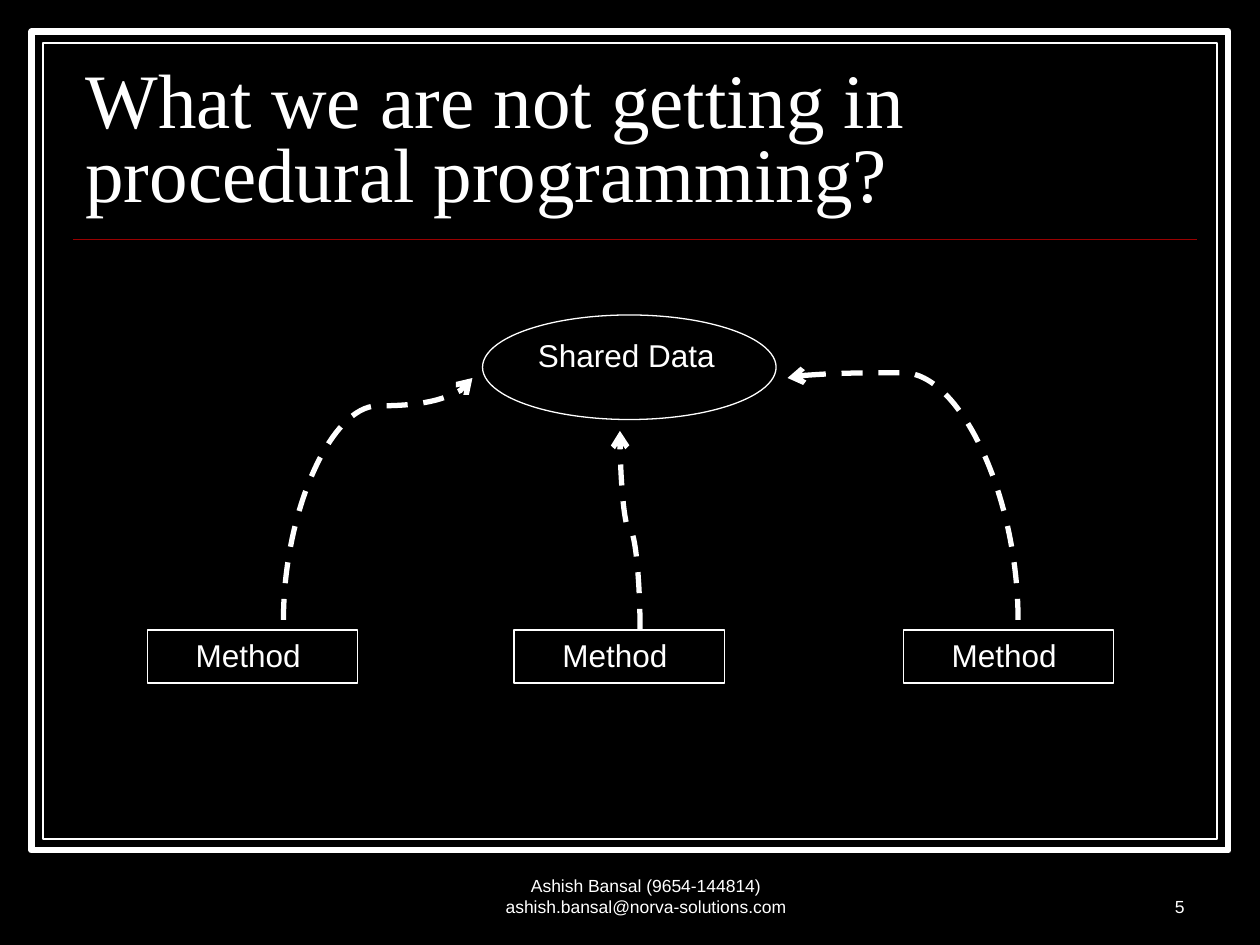
import pptx
import pptx.util
import pptx.dml.color
import pptx.enum.dml
import pptx.enum.shapes
import pptx.enum.text
import pptx.oxml
import pptx.oxml.ns
from dataclasses import dataclass

Inches = pptx.util.Inches
Pt = pptx.util.Pt
RGB = pptx.dml.color.RGBColor
MSO_SHAPE = pptx.enum.shapes.MSO_SHAPE
MSO_CONNECTOR = pptx.enum.shapes.MSO_CONNECTOR
ALIGN = pptx.enum.text.PP_ALIGN
ANCHOR = pptx.enum.text.MSO_ANCHOR
qn = pptx.oxml.ns.qn


@dataclass
class Theme:
    back: RGB = RGB(0, 0, 0)
    ink: RGB = RGB(255, 255, 255)
    accent: RGB = RGB(0x99, 0, 0)
    heading: str = "Times New Roman"
    body: str = "Arial"
    title_size: int = 44
    label_size: int = 18
    footer_size: int = 10
    frame: float = 3.5
    thin: float = 0.75
    rule: float = 1
    arrow: float = 3


theme = Theme()


def set_text(sp, text, size, font, align=ALIGN.LEFT, anchor=ANCHOR.TOP, spacing=None):
    tf = sp.text_frame
    tf.word_wrap = True
    tf.vertical_anchor = anchor
    tf.text = text
    p = tf.paragraphs[0]
    p.alignment = align
    p.line_spacing = spacing
    r = p.runs[0]
    r.font.size = Pt(size)
    r.font.name = font
    r.font.color.rgb = theme.ink


def add_text(s, box, *args, **kwargs):
    sp = s.shapes.add_textbox(*map(Inches, box))
    set_text(sp, *args, **kwargs)


def add_outline(s, kind, box, weight):
    sp = s.shapes.add_shape(kind, *map(Inches, box))
    sp.shadow.inherit = False
    sp.fill.background()
    sp.line.color.rgb = theme.ink
    sp.line.width = Pt(weight)
    return sp


def add_line(s, kind, start, end, color, weight):
    cx = s.shapes.add_connector(kind, *map(Inches, (*start, *end)))
    cx.line.color.rgb = color
    cx.line.width = Pt(weight)
    cx._element.spPr.append(pptx.oxml.parse_xml(
        '<a:effectLst %s/>' % pptx.oxml.ns.nsdecls("a")))
    return cx


def add_rising_arrow(s, start, end, bend):
    cx = add_line(s, MSO_CONNECTOR.CURVE, start, end, theme.ink, theme.arrow)
    cx.line.dash_style = pptx.enum.dml.MSO_LINE.DASH
    (x1, y1), (x2, y2) = start, end
    run, rise = abs(x2 - x1), y1 - y2
    cx.left, cx.top = Inches((x1 + x2 - rise) / 2), Inches((y1 + y2 - run) / 2)
    cx.width, cx.height = Inches(rise), Inches(run)
    spPr = cx._element.spPr
    xfrm = spPr.find(qn("a:xfrm"))
    for flip in ("flipH", "flipV"):
        xfrm.attrib.pop(flip, None)
    xfrm.set("rot", str(270 * 60000))
    if x2 < x1:
        xfrm.set("flipV", "1")
    geom = spPr.find(qn("a:prstGeom"))
    geom.set("prst", "curvedConnector3")
    guides = geom.find(qn("a:avLst"))
    guides.append(guides.makeelement(
        qn("a:gd"), {"name": "adj1", "fmla": "val %d" % round(bend * 100000)}))
    ln = spPr.find(qn("a:ln"))
    ln.append(ln.makeelement(qn("a:tailEnd"), {"type": "arrow"}))


def build_frame(s, box):
    x, y, w, h = box
    for inset, weight in ((0, theme.frame), (0.09, theme.thin)):
        add_outline(s, MSO_SHAPE.RECTANGLE,
                    (x + inset, y + inset, w - 2 * inset, h - 2 * inset), weight)


def build_title(s, box, text):
    x, y, w, h = box
    rule_y = y + h + 0.13
    add_line(s, MSO_CONNECTOR.STRAIGHT, (x, rule_y), (x + w, rule_y), theme.accent, theme.rule)
    add_text(s, box, text, theme.title_size, theme.heading,
             anchor=ANCHOR.BOTTOM, spacing=0.8)


def build_diagram(s, box):
    x, y, w, h = box
    data = add_outline(s, MSO_SHAPE.OVAL, (x + 2.66, y, 2.33, 0.83), theme.thin)
    set_text(data, "Shared Data", theme.label_size, theme.body)
    method_w, method_h = 1.67, 0.42
    for left in (0, 2.91, w - method_w):
        method = add_outline(s, MSO_SHAPE.RECTANGLE,
                             (x + left, y + h - method_h, method_w, method_h), theme.thin)
        set_text(method, "Method ", theme.label_size, theme.body, ALIGN.CENTER)
    for (x1, y1), (x2, y2), bend in (
        ((1.08, 2.42), (2.58, 0.5), 0.885),
        ((3.91, 2.5), (3.75, 0.92), 0.5),
        ((6.91, 2.42), (5.08, 0.5), 1.022),
    ):
        add_rising_arrow(s, (x + x1, y + y1), (x + x2, y + y2), bend)


def build_footer(s, box, contact, number):
    x, y, w, h = box
    for left, width, text, align in (
        (0, 3.17, contact, ALIGN.CENTER),
        (w - 2.08, 2.08, number, ALIGN.RIGHT),
    ):
        add_text(s, (x + left, y, width, h), text, theme.footer_size, theme.body,
                 align, ANCHOR.BOTTOM)


prs = pptx.Presentation()
prs.slide_width, prs.slide_height = Inches(10), Inches(7.5)
s = prs.slides.add_slide(prs.slide_layouts[6])
s.background.fill.solid()
s.background.fill.fore_color.rgb = theme.back
build_frame(s, (0.25, 0.25, 9.5, 6.5))
build_title(s, (0.58, 0.52, 8.92, 1.25), "What we are not getting in procedural programming?")
build_diagram(s, (1.17, 2.5, 7.67, 2.92))
build_footer(s, (3.54, 6.83, 5.96, 0.5),
             "Ashish Bansal (9654-144814) ashish.bansal@norva-solutions.com", "5")
prs.save("out.pptx")
